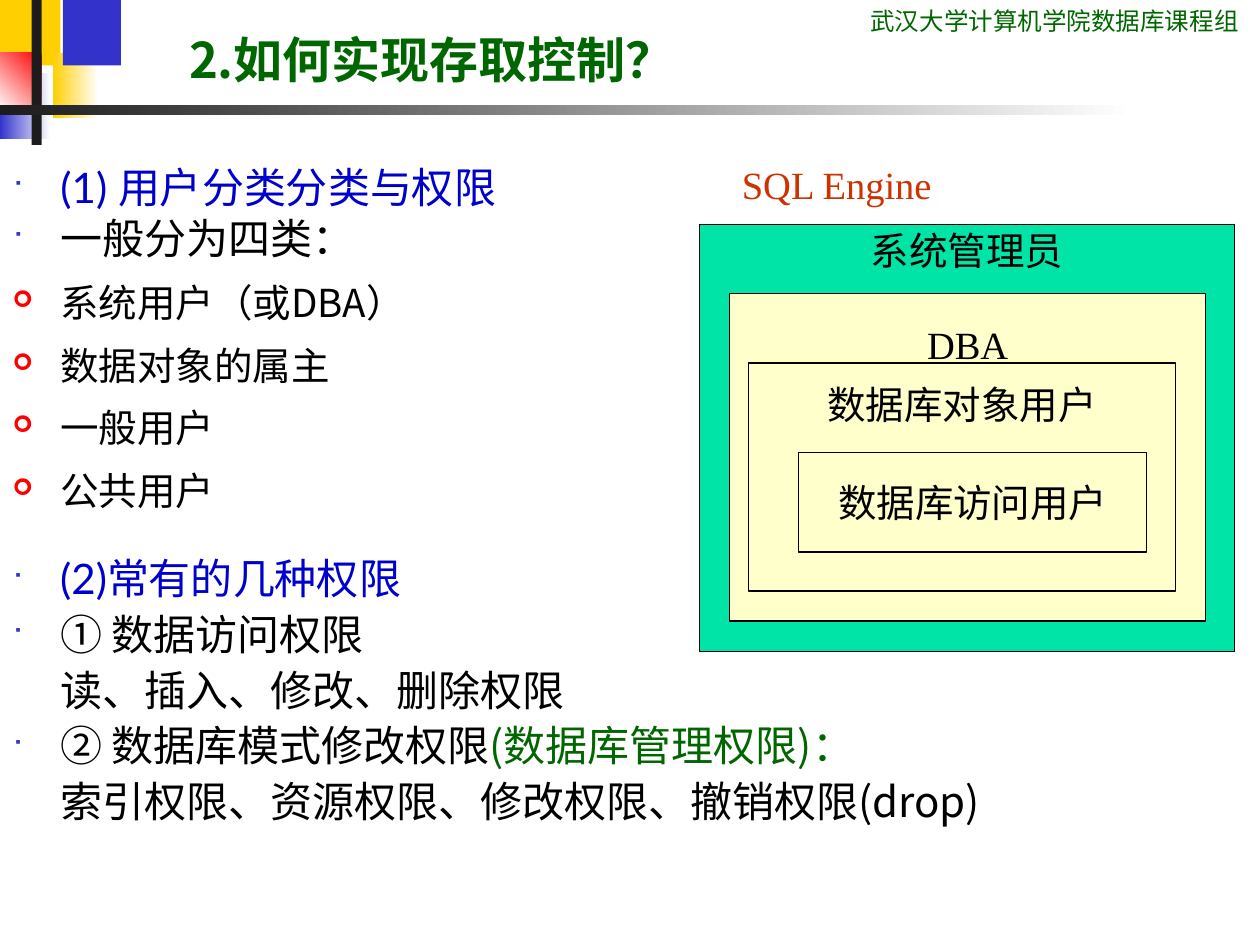
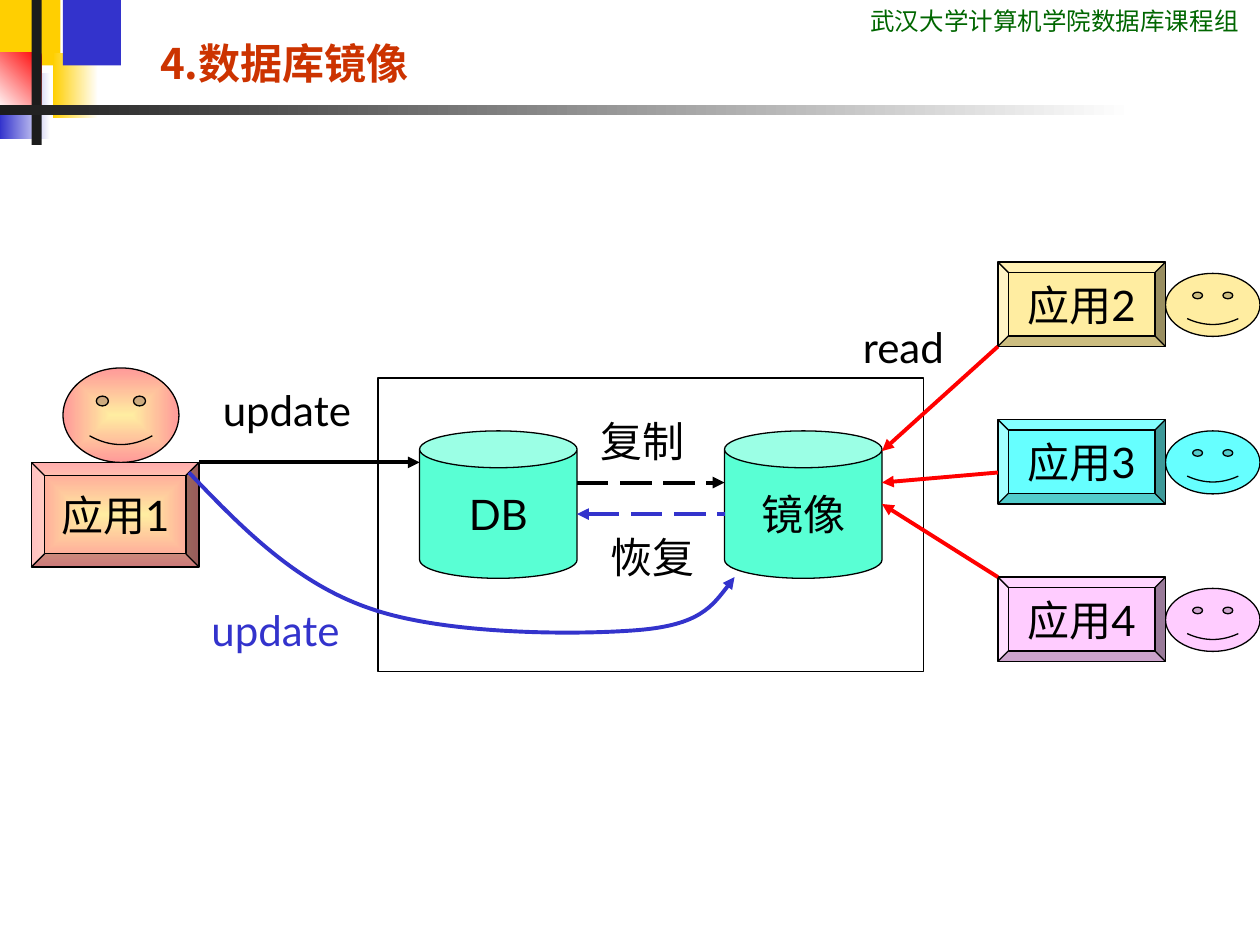
"""Build two database course slides: access control and mirroring."""
import lxml.etree
import pptx
import pptx.dml.color
import pptx.enum.dml
import pptx.enum.shapes
import pptx.enum.text
import pptx.oxml.ns
import pptx.util

Inches = pptx.util.Inches
Pt = pptx.util.Pt
qn = pptx.oxml.ns.qn
Kind = pptx.enum.shapes.MSO_SHAPE
Align = pptx.enum.text.PP_ALIGN
Anchor = pptx.enum.text.MSO_ANCHOR


class Theme:
    black, white, ink = "000000", "FFFFFF", "1C1C1C"
    gold, blue, red = "FFCF01", "3333CC", "FF0000"
    green, rust, navy = "006600", "CC3300", "0000CC"
    mint, cream, aqua = "00E4A8", "FFFFCC", "59FFD4"
    sand, rose, cyan, pink = "FFEDA1", "FF9999", "66FFFF", "FFCCFF"
    hans = "Noto Sans CJK SC"
    head = {"name": hans, "size": Pt(28), "bold": True}
    sub = {"name": hans, "size": Pt(24), "bold": True}
    lead = {"name": "Lato", "size": Pt(24)}
    text = {"name": hans, "size": Pt(24)}
    item = {"name": hans, "size": Pt(22)}
    serif = {"name": "Times New Roman", "size": Pt(22)}
    small = {"name": "Roboto Condensed", "size": Pt(14)}
    thin, thick = Pt(0.75), Pt(2.25)


def write(frame, rows, setup):
    """Fill a text frame with rows of (runs, font, paragraph format, bullet)."""
    for key, val in {"auto_size": pptx.enum.text.MSO_AUTO_SIZE.NONE, "word_wrap": True, **setup}.items():
        setattr(frame, key, val)
    for num, (runs, font, form, mark) in enumerate(rows):
        para = frame.paragraphs[0] if num == 0 else frame.add_paragraph()
        if mark:
            prop = para._p.get_or_add_pPr()
            tint = lxml.etree.SubElement(prop, qn("a:buClr"))
            lxml.etree.SubElement(tint, qn("a:srgbClr"), val=mark[1])
            lxml.etree.SubElement(prop, qn("a:buSzPct"), val="60000")
            lxml.etree.SubElement(prop, qn("a:buFont"), typeface="Wingdings")
            lxml.etree.SubElement(prop, qn("a:buChar"), char=mark[0])
        if "line_spacing" in form:
            prop = para._p.get_or_add_pPr()
            prop.set("marL", str(Inches(0.38)))
            prop.set("indent", str(-Inches(0.38) if mark else 0))
        for key, val in form.items():
            setattr(para, key, val)
        if num == 0:
            para.space_before = Pt(0)
        for words, tone in runs:
            run = para.add_run()
            run.text = words
            for key, val in font.items():
                setattr(run.font, key, val)
            run.font.color.rgb = pptx.dml.color.RGBColor.from_string(tone)
            lxml.etree.SubElement(run._r.get_or_add_rPr(), qn("a:ea"), typeface=Theme.hans)


def draw(slide, kind, box, fill=None, edge=Theme.black):
    """Add a preset shape; fill is a colour, None or (start, end, angle or None)."""
    shape = slide.shapes.add_shape(kind, *map(Inches, box))
    shape.shadow.inherit = False
    if fill is None:
        shape.fill.background()
    elif isinstance(fill, str):
        shape.fill.solid()
        shape.fill.fore_color.rgb = pptx.dml.color.RGBColor.from_string(fill)
    else:
        shape.fill.gradient()
        for stop, tone in zip(shape.fill.gradient_stops, fill):
            stop.color.rgb = pptx.dml.color.RGBColor.from_string(tone)
        if fill[2] is None:
            grad = shape.element.spPr.find(qn("a:gradFill"))
            grad.remove(grad.find(qn("a:lin")))
            ring = lxml.etree.SubElement(grad, qn("a:path"), path="rect")
            lxml.etree.SubElement(ring, qn("a:fillToRect"), l="50000", t="50000", r="50000", b="50000")
        else:
            shape.fill.gradient_angle = 360 - fill[2]
    if edge:
        shape.line.color.rgb = pptx.dml.color.RGBColor.from_string(edge)
        shape.line.width = Theme.thin
    else:
        shape.line.fill.background()
    return shape


deck = pptx.Presentation()
deck.slide_width, deck.slide_height = Inches(10), Inches(7.5)
access = deck.slides.add_slide(deck.slide_layouts[1])
mirror = deck.slides.add_slide(deck.slide_layouts[5])

bands = [
    ((0, 0, 0.48, 0.52), Theme.gold),
    ((0.42, 0.42, 0.36, 0.52), (Theme.white, Theme.gold, 180)),
    ((0.5, 0, 0.46, 0.52), Theme.blue),
    ((0, 0.58, 0.4, 0.52), (Theme.white, Theme.blue, 180)),
    ((0, 0.42, 0.33, 0.46), (Theme.red, Theme.white, 135)),
    ((0.25, 0, 0.08, 1.15), Theme.ink),
    ((0, 0.83, 9, 0.08), (Theme.white, Theme.ink, 180)),
]
parts = [draw(access, Kind.RECTANGLE, box, fill, None) for box, fill in bands]
group = access.shapes.add_textbox(*map(Inches, (6.81, 0, 3.19, 0.34)))
write(group.text_frame, [([("武汉大学计算机学院数据库课程组", Theme.green)], Theme.small, {}, None)], {})
for num, part in enumerate(parts + [group]):
    part.element.nvSpPr.cNvPr.set("id", str(20 + num))
    deck.slide_master.shapes.element.append(part.element)

titles = [
    (access, (1.4, 0, 4.8, 0.75), "2.如何实现存取控制？", Theme.head, Theme.green),
    (mirror, (1.17, 0, 4.37, 0.75), "4.数据库镜像", Theme.sub, Theme.rust),
]
for slide, box, words, font, tone in titles:
    title = slide.shapes.title
    title.left, title.top, title.width, title.height = map(Inches, box)
    write(title.text_frame, [([(words, tone)], font, {"alignment": Align.LEFT}, None)],
          {"vertical_anchor": Anchor.BOTTOM})

square, arrow = ("■", Theme.blue), ("➢", Theme.red)
tight = {"line_spacing": 0.8, "space_before": Pt(6)}
loose = {"line_spacing": 1.15, "space_before": Pt(5.5)}
close = {"line_spacing": 0.9, "space_before": Pt(6)}
users = [
    ([("(1) 用户分类分类与权限", Theme.navy)], Theme.lead, tight, square),
    ([("一般分为四类：", Theme.black)], Theme.lead, tight, square),
]
for words in ("系统用户（或DBA）", "数据对象的属主", "一般用户", "公共用户"):
    users.append(([(words, Theme.black)], Theme.item, loose, arrow))
body = access.placeholders[1]
body.left, body.top, body.width, body.height = map(Inches, (0, 1.31, 5.55, 2.84))
write(body.text_frame, users, {})

rights = [
    ([("(2)常有的几种权限", Theme.navy)], Theme.lead, close, square),
    ([("① 数据访问权限", Theme.black)], Theme.text, close, square),
    ([("读、插入、修改、删除权限", Theme.black)], Theme.text, close, None),
    ([("② 数据库模式修改权限", Theme.black), ("(数据库管理权限)：", Theme.green)], Theme.text, close, square),
    ([("索引权限、资源权限、修改权限、撤销权限(drop)", Theme.black)], Theme.text, close, None),
]
panel = access.shapes.add_textbox(*map(Inches, (0, 4.38, 9.8, 2.36)))
write(panel.text_frame, rights, {})

server = access.shapes.add_textbox(*map(Inches, (5.79, 1.23, 2.13, 0.47)))
write(server.text_frame, [([("SQL Engine", Theme.rust)], Theme.serif, {}, None)], {})

levels = [
    ((5.55, 1.78, 4.25, 3.39), Theme.mint, "系统管理员", Anchor.TOP, 0.02),
    ((5.79, 2.33, 3.78, 2.6), Theme.cream, "DBA", Anchor.TOP, 0.22),
    ((5.94, 2.88, 3.39, 1.81), Theme.cream, "数据库对象用户", Anchor.TOP, 0.14),
    ((6.34, 3.59, 2.76, 0.79), Theme.cream, "数据库访问用户", Anchor.MIDDLE, 0.05),
]
for box, fill, words, anchor, inset in levels:
    level = draw(access, Kind.RECTANGLE, box, fill)
    write(level.text_frame, [([(words, Theme.black)], Theme.serif, {"alignment": Align.CENTER}, None)],
          {"vertical_anchor": anchor, "margin_top": Inches(inset), "word_wrap": False})

draw(mirror, Kind.RECTANGLE, (3, 3, 4.33, 2.33))
warm = (Theme.sand, Theme.rose, None)
nodes = [
    (Kind.CAN, (5.75, 3.42, 1.25, 1.17), Theme.aqua, "镜像"),
    (Kind.CAN, (3.33, 3.42, 1.25, 1.17), Theme.aqua, "DB"),
    (Kind.BEVEL, (0.25, 3.67, 1.33, 0.83), warm, "应用1"),
]
draw(mirror, Kind.SMILEY_FACE, (0.5, 2.92, 0.92, 0.75), warm)
for num, fill in enumerate((Theme.sand, Theme.cyan, Theme.pink)):
    top = 2.08 + 1.25 * num
    nodes.append((Kind.BEVEL, (7.92, top, 1.33, 0.67), fill, f"应用{num + 2}"))
    draw(mirror, Kind.SMILEY_FACE, (9.25, top + 0.09, 0.75, 0.5), fill)
for kind, box, fill, words in nodes:
    node = draw(mirror, kind, box, fill)
    write(node.text_frame, [([(words, Theme.black)], Theme.lead, {"alignment": Align.CENTER}, None)],
          {"vertical_anchor": Anchor.MIDDLE, "word_wrap": False})

points = [(1.5, 3.75), (1.92, 4.19), (2.35, 4.63), (2.94, 4.83), (3.54, 5.04),
          (4.59, 5.04), (5.07, 5), (5.55, 4.96), (5.69, 4.77), (5.83, 4.58)]
points = [(Inches(x), Inches(y)) for x, y in points]
build = mirror.shapes.build_freeform(*points[0])
build.add_line_segments(points[1:], close=False)
curve = build.convert_to_shape()
curve.shadow.inherit = False
curve.fill.background()
track = next(curve.element.iter(qn("a:path")))
steps = track.findall(qn("a:lnTo"))
for num in range(0, len(steps), 3):
    bend = lxml.etree.SubElement(track, qn("a:cubicBezTo"))
    for step in steps[num:num + 3]:
        bend.append(step[0])
        track.remove(step)

links = [
    (1.58, 3.67, 3.33, 3.67, Theme.black, False, "a:tailEnd"),
    (4.58, 3.83, 5.75, 3.83, Theme.black, True, "a:tailEnd"),
    (4.58, 4.08, 5.75, 4.08, Theme.blue, True, "a:headEnd"),
    (7.92, 2.75, 7, 3.58, Theme.red, False, "a:tailEnd"),
    (7.92, 3.75, 7, 3.83, Theme.red, False, "a:tailEnd"),
    (7.92, 4.58, 7, 4, Theme.red, False, "a:tailEnd"),
]
lines = [(curve, Theme.blue, False, "a:tailEnd")]
for *ends, tone, dash, tip in links:
    link = mirror.shapes.add_connector(pptx.enum.shapes.MSO_CONNECTOR.STRAIGHT, *map(Inches, ends))
    lines.append((link, tone, dash, tip))
for link, tone, dash, tip in lines:
    link.line.color.rgb = pptx.dml.color.RGBColor.from_string(tone)
    link.line.width = Theme.thick
    if dash:
        link.line.dash_style = pptx.enum.dml.MSO_LINE.LONG_DASH
    prop = link.element.spPr
    lxml.etree.SubElement(prop.find(qn("a:ln")), qn(tip), type="triangle")
    if link is not curve:
        lxml.etree.SubElement(prop, qn("a:effectLst"))

labels = [
    (1.67, 3, 1.5, "update", Theme.black),
    (4.67, 3.25, 0.92, "复制", Theme.black),
    (4.75, 4.17, 0.92, "恢复", Theme.black),
    (6.75, 2.5, 1.08, "read", Theme.black),
    (1.58, 4.75, 1.5, "update", Theme.blue),
]
for left, top, width, words, tone in labels:
    label = mirror.shapes.add_textbox(*map(Inches, (left, top, width, 0.5)))
    write(label.text_frame, [([(words, tone)], Theme.lead, {}, None)], {})

deck.save("out.pptx")
